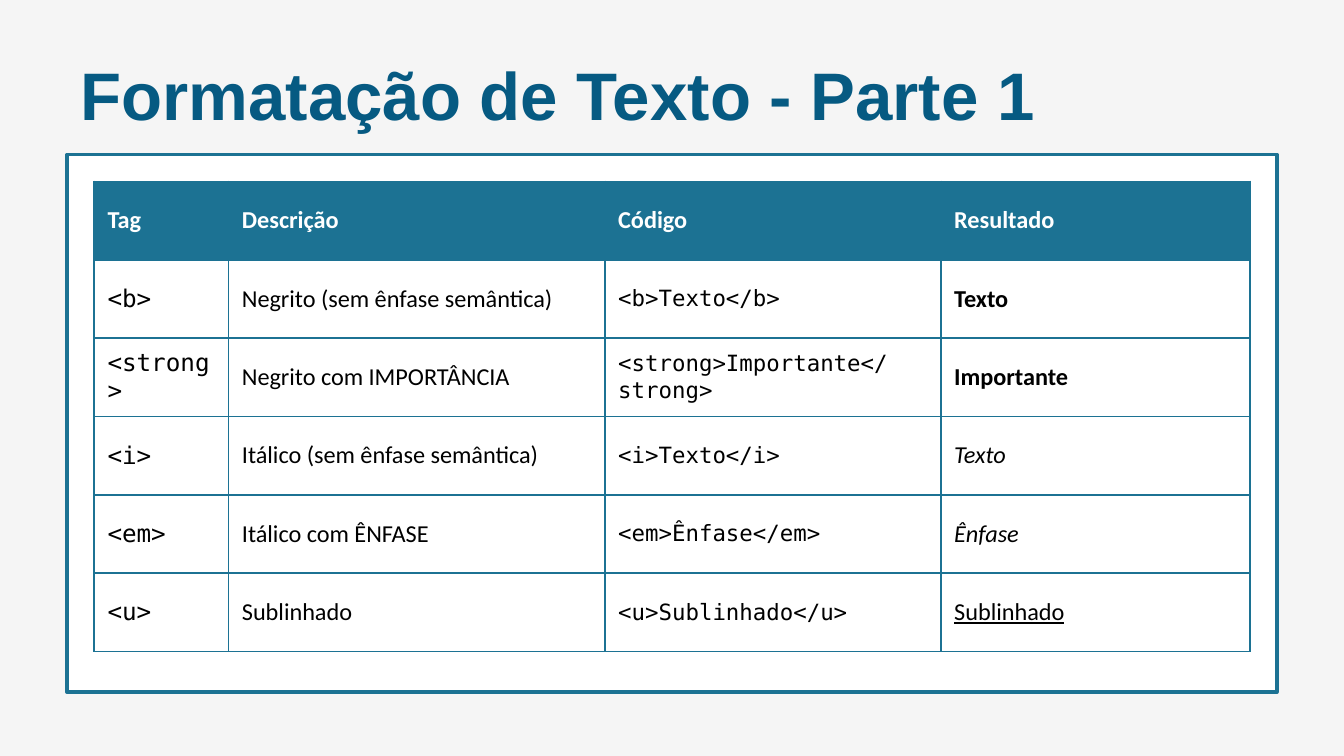
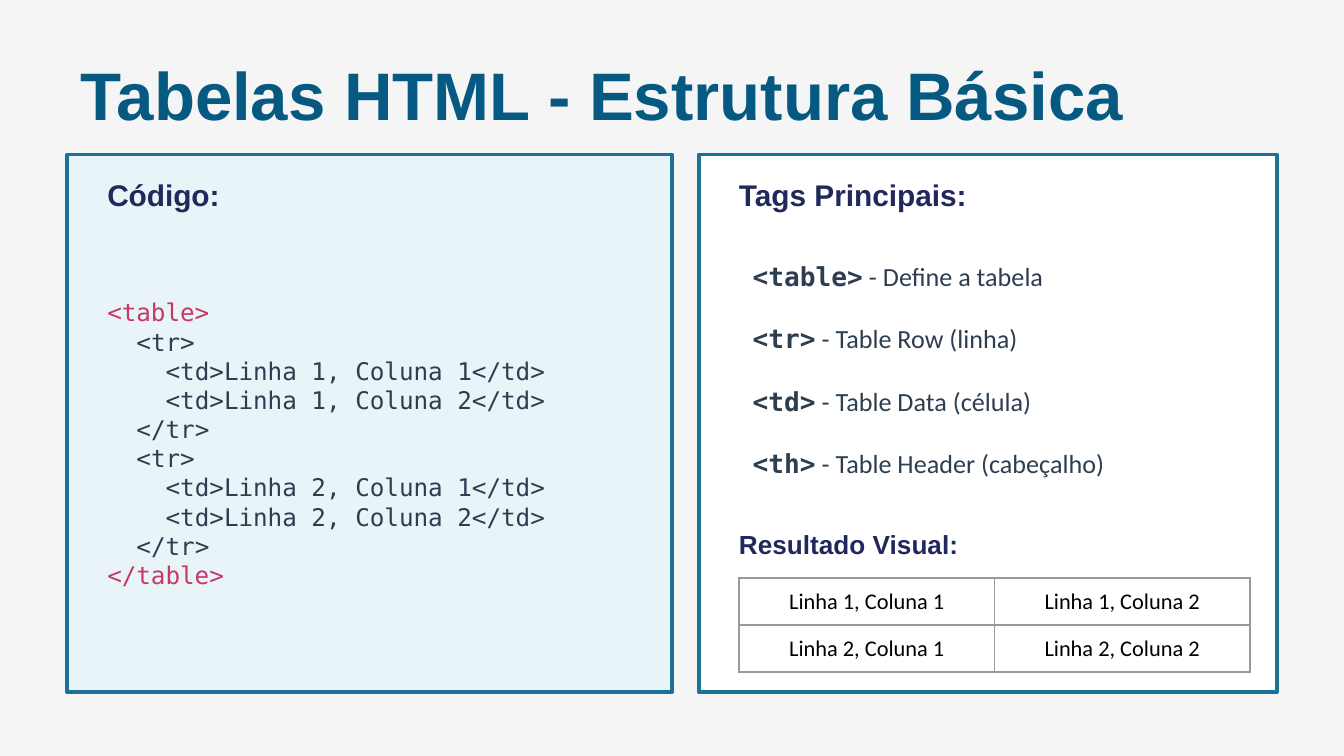
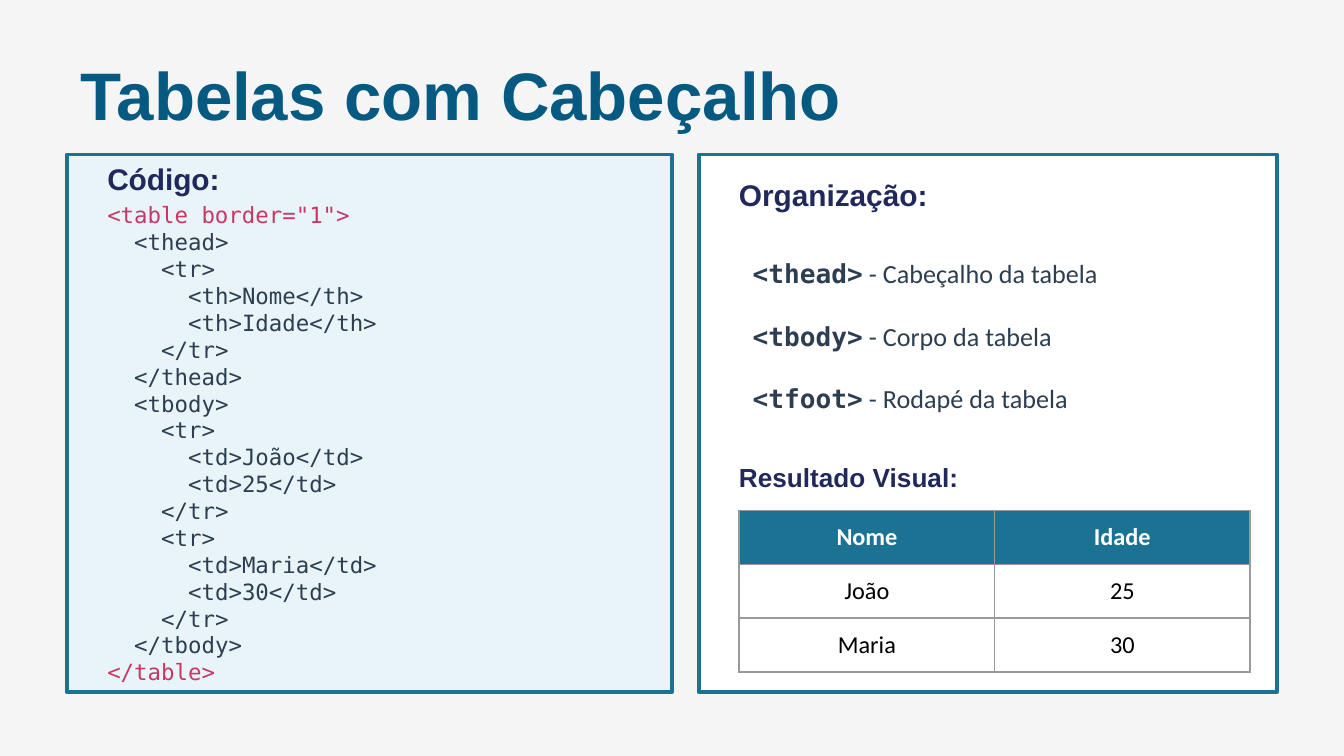
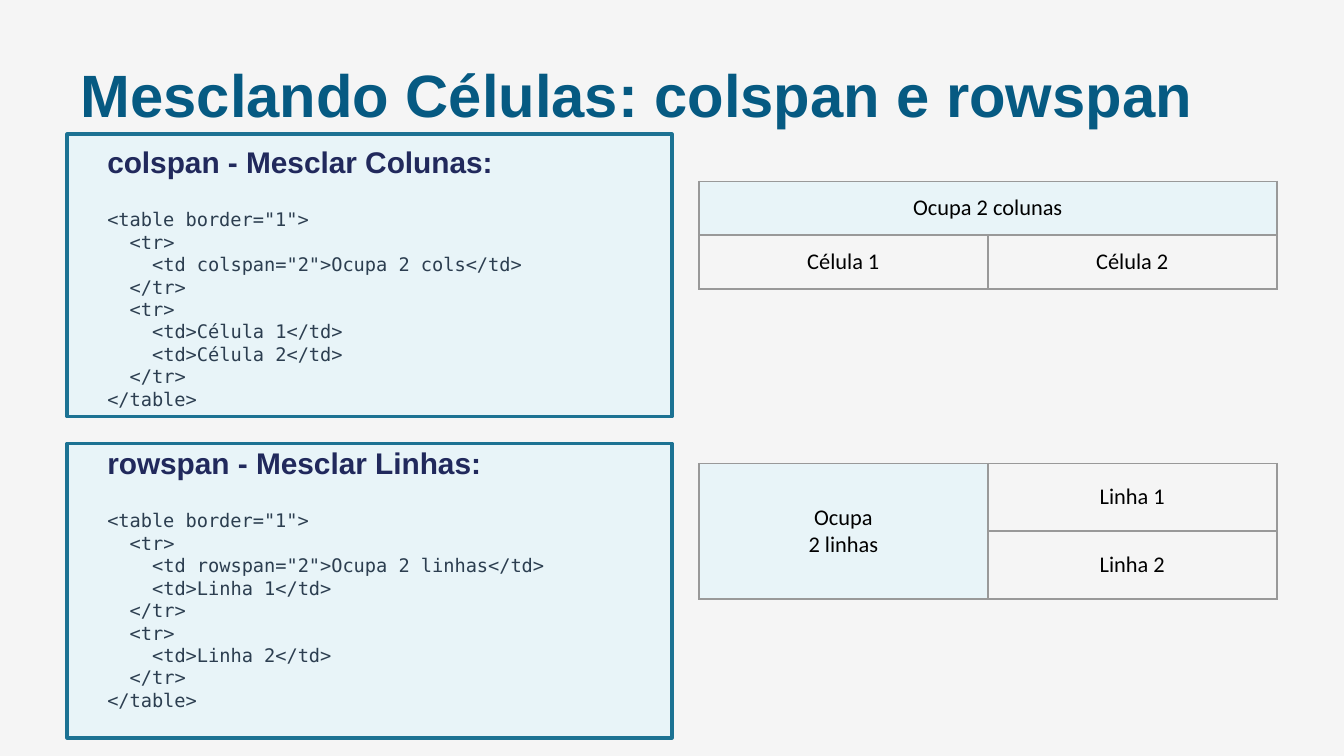
import lxml.etree
import pptx
import pptx.dml.color
import pptx.enum.shapes
import pptx.enum.text
import pptx.oxml.ns
import pptx.util

Inches = pptx.util.Inches
Pt = pptx.util.Pt
Align = pptx.enum.text.PP_ALIGN

# Content

TAG_TABLE = {
    "title": "Formatação de Texto - Parte 1",
    "header": ["Tag", "Descrição", "Código", "Resultado"],
    "rows": [
        ("<b>", "Negrito (sem ênfase semântica)", "<b>Texto</b>", "Texto", "bold"),
        ("<strong>", "Negrito com IMPORTÂNCIA", "<strong>Importante</strong>",
         "Importante", "bold"),
        ("<i>", "Itálico (sem ênfase semântica)", "<i>Texto</i>", "Texto", "italic"),
        ("<em>", "Itálico com ÊNFASE", "<em>Ênfase</em>", "Ênfase", "italic"),
        ("<u>", "Sublinhado", "<u>Sublinhado</u>", "Sublinhado", "underline"),
    ],
}

CODE_AND_RESULT = [
    {
        "title": "Tabelas HTML - Estrutura Básica",
        "code_heading_top": 1.3,
        "code_size": 13,
        "code": """\
<table>
  <tr>
    <td>Linha 1, Coluna 1</td>
    <td>Linha 1, Coluna 2</td>
  </tr>
  <tr>
    <td>Linha 2, Coluna 1</td>
    <td>Linha 2, Coluna 2</td>
  </tr>
</table>""",
        "list_heading": "Tags Principais:",
        "list_height": 2,
        "tags": [
            ("<table>", " - Define a tabela"),
            ("<tr>", " - Table Row (linha)"),
            ("<td>", " - Table Data (célula)"),
            ("<th>", " - Table Header (cabeçalho)"),
        ],
        "result_top": 3.9,
        "result": [["Linha 1, Coluna 1", "Linha 1, Coluna 2"],
                   ["Linha 2, Coluna 1", "Linha 2, Coluna 2"]],
        "result_row_height": 0.35,
        "result_size": 12,
        "has_header": False,
    },
    {
        "title": "Tabelas com Cabeçalho",
        "code_heading_top": 1.18,
        "code_size": 12,
        "code": """\
<table border="1">
  <thead>
    <tr>
      <th>Nome</th>
      <th>Idade</th>
    </tr>
  </thead>
  <tbody>
    <tr>
      <td>João</td>
      <td>25</td>
    </tr>
    <tr>
      <td>Maria</td>
      <td>30</td>
    </tr>
  </tbody>
</table>""",
        "list_heading": "Organização:",
        "list_height": 1.5,
        "tags": [
            ("<thead>", " - Cabeçalho da tabela"),
            ("<tbody>", " - Corpo da tabela"),
            ("<tfoot>", " - Rodapé da tabela"),
        ],
        "result_top": 3.4,
        "result": [["Nome", "Idade"], ["João", "25"], ["Maria", "30"]],
        "result_row_height": 0.4,
        "result_size": 13,
        "has_header": True,
    },
]

MERGING = {
    "title": "Mesclando Células: colspan e rowspan",
    "sections": [
        {
            "heading": "colspan - Mesclar Colunas:",
            "panel_top": 1, "panel_height": 2.1, "heading_top": 1.05,
            "code": """\
<table border="1">
  <tr>
    <td colspan="2">Ocupa 2 cols</td>
  </tr>
  <tr>
    <td>Célula 1</td>
    <td>Célula 2</td>
  </tr>
</table>""",
            "result": [["Ocupa 2 colunas", ""], ["Célula 1", "Célula 2"]],
            "merge_to": (0, 1), "row_height": 0.4,
        },
        {
            "heading": "rowspan - Mesclar Linhas:",
            "panel_top": 3.3, "panel_height": 2.19, "heading_top": 3.29,
            "code": """\
<table border="1">
  <tr>
    <td rowspan="2">Ocupa 2 linhas</td>
    <td>Linha 1</td>
  </tr>
  <tr>
    <td>Linha 2</td>
  </tr>
</table>""",
            "result": [["Ocupa\n2 linhas", "Linha 1"], ["", "Linha 2"]],
            "merge_to": (1, 0), "row_height": 0.5,
        },
    ],
}

# Theme and layout


class Theme:
    BACKGROUND = "F5F5F5"
    TITLE = "065A82"
    HEADING = "21295C"
    ACCENT = "1C7293"
    PALE = "E8F4F8"
    WHITE = "FFFFFF"
    BLACK = "000000"
    TEXT = "2C3E50"
    TAG = "C73866"
    GRID = "999999"
    SANS = "Arial"
    BODY = "Calibri"
    MONO = "DejaVu Sans Mono"
    TITLE_SIZE, LONG_TITLE_SIZE = 36, 32
    HEADING_SIZE, LIST_SIZE, SMALL_CODE_SIZE = 16, 14, 10
    TABLE_SIZE, SMALL_TABLE_SIZE = 13, 12
    LIST_GAP = 16.7
    MONO_ADVANCE = 0.602  # character width as a share of the type size


SLIDE_WIDTH = 10
MARGIN = 0.5
PANEL_TOP, PANEL_HEIGHT = 1.15, 4
LEFT_WIDTH, RIGHT_WIDTH = 4.5, 4.3
RIGHT = SLIDE_WIDTH - MARGIN - RIGHT_WIDTH
INSET = 0.2
CODE_TOP = 1.7


def style(name, size, color, **flags):
    return {"name": name, "size": Pt(size), "color": color, "bold": False, **flags}


def rgb(color):
    return pptx.dml.color.RGBColor.from_string(color)


def format_font(font, values):
    for attribute, value in values.items():
        if attribute == "color":
            font.color.rgb = rgb(value)
        else:
            setattr(font, attribute, value)


def write_paragraphs(frame, paragraphs, alignment=Align.LEFT, gap=0):
    """Fill a text frame; each paragraph is a list of (text, style) runs."""
    for index, runs in enumerate(paragraphs):
        paragraph = frame.paragraphs[0] if index == 0 else frame.add_paragraph()
        paragraph.alignment = alignment
        paragraph.space_before = Pt(gap if index else 0)
        for text, values in runs:
            run = paragraph.add_run()
            run.text = text
            format_font(run.font, values)


def place(shape, left, top, width, height):
    box = {"left": left, "top": top, "width": width, "height": height}
    for attribute, value in box.items():
        setattr(shape, attribute, Inches(value))


def set_up_frame(frame):
    values = {
        "word_wrap": True,
        "auto_size": pptx.enum.text.MSO_AUTO_SIZE.NONE,
        "vertical_anchor": pptx.enum.text.MSO_ANCHOR.MIDDLE,
    }
    for attribute, value in values.items():
        setattr(frame, attribute, value)


def indent_paragraph(paragraph, left):
    properties = paragraph._p.get_or_add_pPr()
    properties.set("marL", str(int(left)))
    properties.set("indent", "0")
    return properties


def add_slide(presentation, layout_name, title, size=Theme.TITLE_SIZE):
    layout = presentation.slide_layouts.get_by_name(layout_name)
    slide = presentation.slides.add_slide(layout)
    shape = slide.shapes.title
    place(shape, MARGIN, 0.4, SLIDE_WIDTH - 2 * MARGIN, 0.6)
    set_up_frame(shape.text_frame)
    title_style = style(Theme.SANS, size, Theme.TITLE, bold=True)
    write_paragraphs(shape.text_frame, [[(title, title_style)]])
    return slide


def add_panel(slide, left, top, width, height, fill):
    panel = slide.shapes.add_shape(
        pptx.enum.shapes.MSO_SHAPE.RECTANGLE,
        *map(Inches, (left, top, width, height)))
    panel.shadow.inherit = False
    panel.fill.solid()
    panel.fill.fore_color.rgb = rgb(fill)
    panel.line.color.rgb = rgb(Theme.ACCENT)
    panel.line.width = Pt(2)


def add_text(slide, left, top, width, height, paragraphs):
    frame = slide.shapes.add_textbox(
        *map(Inches, (left, top, width, height))).text_frame
    set_up_frame(frame)
    write_paragraphs(frame, paragraphs)
    return frame


def add_heading(slide, panel_left, top, text, size=Theme.HEADING_SIZE):
    heading_style = style(Theme.SANS, size, Theme.HEADING, bold=True)
    add_text(slide, panel_left + INSET, top, 4, 0.3, [[(text, heading_style)]])


def add_code(slide, top, height, code, size, end_color=Theme.TEXT):
    """Write source lines, turning leading spaces into paragraph indents."""
    lines = code.splitlines()
    colors = [end_color] + [Theme.TEXT] * (len(lines) - 2) + [end_color]
    paragraphs = [[(line.lstrip(), style(Theme.MONO, size, color))]
                  for line, color in zip(lines, colors)]
    frame = add_text(slide, MARGIN + INSET, top, 4.1, height, paragraphs)
    for line, paragraph in zip(lines, frame.paragraphs):
        depth = len(line) - len(line.lstrip())
        indent_paragraph(paragraph, Pt(depth * size * Theme.MONO_ADVANCE))


def add_tag_list(slide, tags, height):
    body = slide.placeholders[1]
    place(body, RIGHT + 0.3, 1.75, 3.8, height)
    body.element.getparent().append(body.element)  # bring above the panel
    set_up_frame(body.text_frame)
    tag_style = style(Theme.MONO, Theme.LIST_SIZE, Theme.TEXT, bold=True)
    text_style = style(Theme.BODY, Theme.LIST_SIZE, Theme.TEXT)
    write_paragraphs(
        body.text_frame,
        [[(tag, tag_style), (meaning, text_style)] for tag, meaning in tags],
        gap=Theme.LIST_GAP)
    for paragraph in body.text_frame.paragraphs:
        properties = indent_paragraph(paragraph, 0)
        lxml.etree.SubElement(properties, pptx.oxml.ns.qn("a:buNone"))


def add_borders(cell, color):
    properties = cell._tc.get_or_add_tcPr()
    for side in ("lnL", "lnR", "lnT", "lnB"):
        line = lxml.etree.SubElement(
            properties, pptx.oxml.ns.qn("a:" + side), w=str(Pt(1)))
        fill = lxml.etree.SubElement(line, pptx.oxml.ns.qn("a:solidFill"))
        lxml.etree.SubElement(fill, pptx.oxml.ns.qn("a:srgbClr"), val=color)


def add_table(slide, left, top, widths, row_height, rows, border,
              alignment=Align.CENTER):
    """Draw a table; each cell is a (text, style, fill or None) tuple."""
    size = (left, top, sum(widths), row_height * len(rows))
    table = slide.shapes.add_table(
        len(rows), len(widths), *map(Inches, size)).table
    table.first_row = table.horz_banding = False
    for column, width in zip(table.columns, widths):
        column.width = Inches(width)
    for row_index, row in enumerate(rows):
        table.rows[row_index].height = Inches(row_height)
        for column_index, (text, values, fill) in enumerate(row):
            cell = table.cell(row_index, column_index)
            cell.vertical_anchor = pptx.enum.text.MSO_ANCHOR.MIDDLE
            add_borders(cell, border)
            if fill:
                cell.fill.solid()
                cell.fill.fore_color.rgb = rgb(fill)
            else:
                cell.fill.background()
            paragraphs = [[(line, values)] for line in text.splitlines()]
            write_paragraphs(cell.text_frame, paragraphs, alignment)
    return table


def header_row(texts):
    header_style = style(Theme.BODY, Theme.TABLE_SIZE, Theme.WHITE, bold=True)
    return [(text, header_style, Theme.ACCENT) for text in texts]


def plain_row(texts, size):
    return [(text, style(Theme.BODY, size, Theme.BLACK), None) for text in texts]


# Slides


def build_tag_table(presentation, content):
    slide = add_slide(presentation, "Title Only", content["title"])
    add_panel(slide, MARGIN, PANEL_TOP, SLIDE_WIDTH - 2 * MARGIN, PANEL_HEIGHT,
              Theme.WHITE)
    rows = [header_row(content["header"])]
    for tag, description, code, result, emphasis in content["rows"]:
        size, small = Theme.TABLE_SIZE, Theme.SMALL_TABLE_SIZE
        result_style = style(Theme.BODY, size, Theme.BLACK)
        result_style[emphasis] = True
        rows.append([
            (tag, style(Theme.MONO, size, Theme.BLACK), None),
            (description, style(Theme.BODY, size, Theme.BLACK), None),
            (code, style(Theme.MONO, small, Theme.BLACK), None),
            (result, result_style, None),
        ])
    add_table(slide, MARGIN + INSET, PANEL_TOP + INSET, [1, 2.8, 2.5, 2.3],
              3.5 / len(rows), rows, Theme.ACCENT, Align.LEFT)


def build_code_and_result(presentation, content):
    slide = add_slide(presentation, "Title and Content", content["title"])
    add_panel(slide, MARGIN, PANEL_TOP, LEFT_WIDTH, PANEL_HEIGHT, Theme.PALE)
    add_heading(slide, MARGIN, content["code_heading_top"], "Código:")
    add_code(slide, CODE_TOP, 3.2, content["code"], content["code_size"], Theme.TAG)

    add_panel(slide, RIGHT, PANEL_TOP, RIGHT_WIDTH, PANEL_HEIGHT, Theme.WHITE)
    add_heading(slide, RIGHT, 1.3, content["list_heading"])
    add_tag_list(slide, content["tags"], content["list_height"])

    result_top = content["result_top"]
    add_heading(slide, RIGHT, result_top, "Resultado Visual:", Theme.LIST_SIZE)
    rows = [plain_row(texts, content["result_size"]) for texts in content["result"]]
    if content["has_header"]:
        rows[0] = header_row(content["result"][0])
    add_table(slide, RIGHT + 0.3, result_top + 0.4, [1.9, 1.9],
              content["result_row_height"], rows, Theme.GRID)


def build_merging(presentation, content):
    slide = add_slide(presentation, "Title Only", content["title"],
                      Theme.LONG_TITLE_SIZE)
    for section in content["sections"]:
        top, heading_top = section["panel_top"], section["heading_top"]
        add_panel(slide, MARGIN, top, LEFT_WIDTH, section["panel_height"], Theme.PALE)
        add_heading(slide, MARGIN, heading_top, section["heading"])
        add_code(slide, heading_top + 0.65, 1.2, section["code"],
                 Theme.SMALL_CODE_SIZE)
        rows = [plain_row(texts, Theme.SMALL_TABLE_SIZE)
                for texts in section["result"]]
        rows[0][0] = (*rows[0][0][:2], Theme.PALE)
        # The first result lines up with the full-height panels' contents.
        table_top = PANEL_TOP + INSET if top == 1 else top + 0.15
        table_top = top + (0.35 if section["merge_to"] == (0, 1) else 0.15)
        table = add_table(slide, RIGHT, table_top, [RIGHT_WIDTH / 2] * 2,
                          section["row_height"], rows, Theme.GRID)
        table.cell(0, 0).merge(table.cell(*section["merge_to"]))


def main():
    presentation = pptx.Presentation()
    presentation.slide_width = Inches(SLIDE_WIDTH)
    presentation.slide_height = Inches(SLIDE_WIDTH * 9 / 16)
    background = presentation.slide_master.background.fill
    background.solid()
    background.fore_color.rgb = rgb(Theme.BACKGROUND)

    build_tag_table(presentation, TAG_TABLE)
    for content in CODE_AND_RESULT:
        build_code_and_result(presentation, content)
    build_merging(presentation, MERGING)
    presentation.save("out.pptx")


if __name__ == "__main__":
    main()
